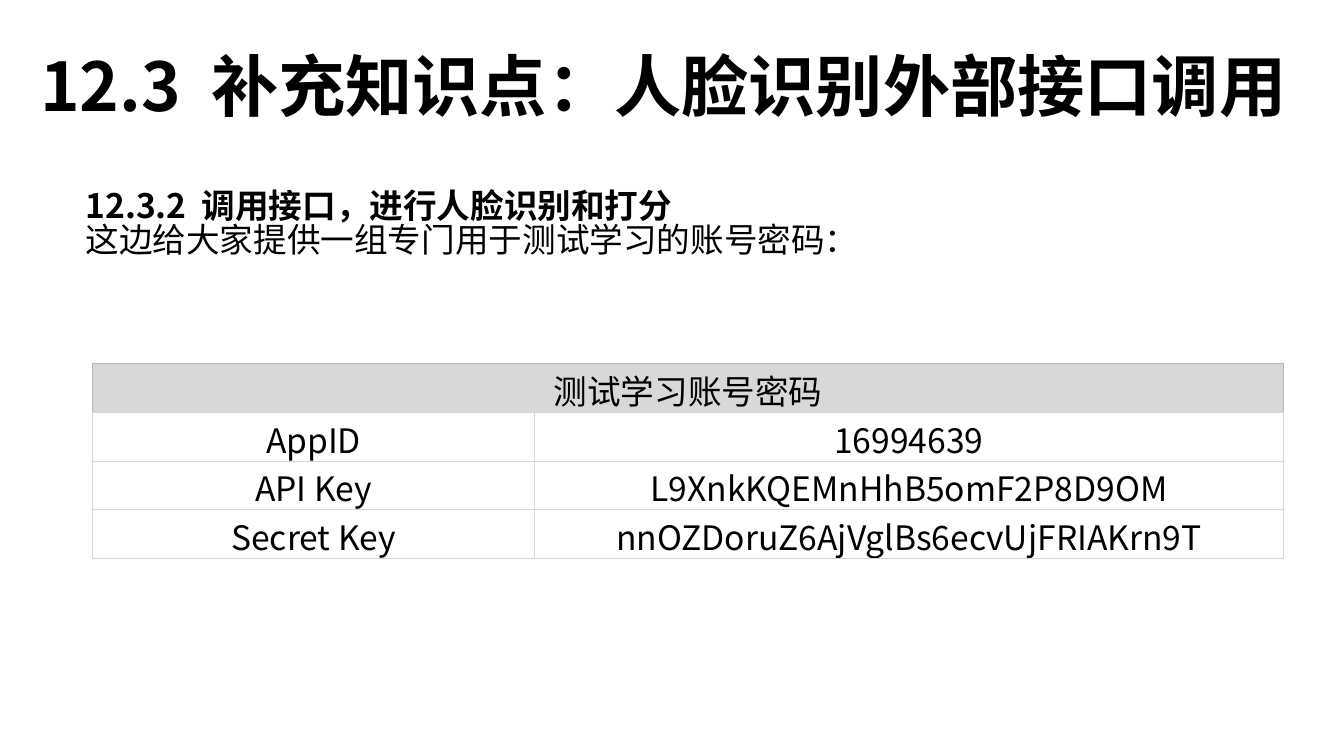
from dataclasses import dataclass

from lxml.etree import SubElement
from pptx import Presentation
from pptx.dml.color import RGBColor as Rgb
from pptx.enum.text import MSO_ANCHOR as Anchor, PP_ALIGN as Align
from pptx.oxml.ns import qn
from pptx.util import Inches, Pt

TITLE = ("12.3", "补充知识点：人脸识别外部接口调用")
HEAD = ("12.3.2", "调用接口，进行人脸识别和打分")
INTRO = "这边给大家提供一组专门用于测试学习的账号密码："
CAPTION = "测试学习账号密码"
KEYS = [
    ("AppID", "16994639"),
    ("API Key", "L9XnkKQEMnHhB5omF2P8D9OM"),
    ("Secret Key", "nnOZDoruZ6AjVglBs6ecvUjFRIAKrn9T"),
]
COLS = (4.38, 7.43)
ROW = 0.483


@dataclass(frozen=True)
class Theme:
    font: str = "Noto Sans CJK SC"
    ink: str = "000000"
    paper: str = "FFFFFF"
    band: str = "D7D8D9"
    edge: str = "B7B8B8"
    grid: str = "D6D6D6"
    large: int = 48
    body: int = 24
    rule: float = 0.75
    lead: float = 0.84


LOOK = Theme()


def add_run(para, text, size, bold=False, gap=0):
    """Add one styled run; gap is extra letter spacing in points."""
    run = para.add_run()
    run.text = text
    font = run.font
    font.name, font.size, font.bold = LOOK.font, Pt(size), bold
    font.color.rgb = Rgb.from_string(LOOK.ink)
    props = run._r.get_or_add_rPr()
    SubElement(props, qn("a:ea")).set("typeface", LOOK.font)
    if gap:
        props.set("spc", str(round(gap * 100)))


def add_head(para, parts, size):
    """Set a bold number and heading, parted by a widened space."""
    para.line_spacing = LOOK.lead
    number, words = parts
    add_run(para, number, size, True)
    add_run(para, " ", size, True, gap=0.22 * size)
    add_run(para, words, size, True)


def add_box(slide, place, top, wrap):
    frame = slide.shapes.add_textbox(*map(Inches, place)).text_frame
    frame.word_wrap = wrap
    frame.margin_top = Inches(top)
    return frame


def set_edges(cell, colors):
    """Draw the left, right, top and bottom borders, in that order."""
    props = cell._tc.get_or_add_tcPr()
    for side, color in zip("LRTB", colors):
        line = SubElement(props, qn(f"a:ln{side}"), w=str(Pt(LOOK.rule)))
        fill = SubElement(line, qn("a:solidFill"))
        SubElement(fill, qn("a:srgbClr"), val=color)


def fill_cell(cell, text, back, colors):
    set_edges(cell, colors)
    cell.fill.solid()
    cell.fill.fore_color.rgb = Rgb.from_string(back)
    cell.margin_left = cell.margin_right = cell.margin_bottom = 0
    cell.margin_top = Inches(0.08)
    cell.vertical_anchor = Anchor.TOP
    para = cell.text_frame.paragraphs[0]
    para.alignment = Align.CENTER
    para.line_spacing = LOOK.lead
    if text:
        add_run(para, text, LOOK.body)


def add_keys(slide):
    count = len(KEYS) + 1
    place = (0.92, 3.61, sum(COLS), ROW * count)
    table = slide.shapes.add_table(count, len(COLS), *map(Inches, place)).table
    table.first_row = table.horz_banding = False
    for col, width in zip(table.columns, COLS):
        col.width = Inches(width)
    for row in table.rows:
        row.height = Inches(ROW)

    table.cell(0, 0).merge(table.cell(0, 1))
    edges = (LOOK.edge,) * 3 + (LOOK.grid,)
    for col, text in enumerate((CAPTION, "")):
        fill_cell(table.cell(0, col), text, LOOK.band, edges)
    for row, pair in enumerate(KEYS, 1):
        top = LOOK.grid
        for col, text in enumerate(pair):
            fill_cell(table.cell(row, col), text, LOOK.paper, (top,) * 4)


def main():
    deck = Presentation()
    deck.slide_width, deck.slide_height = Inches(13.33), Inches(7.5)
    slide = deck.slides.add_slide(deck.slide_layouts[6])

    title = add_box(slide, (0.3, 0.48, 12.73, 0.91), 0.09, False)
    add_head(title.paragraphs[0], TITLE, LOOK.large)

    intro = add_box(slide, (0.75, 1.83, 11.86, 0.91), 0.07, True)
    add_head(intro.paragraphs[0], HEAD, LOOK.body)
    para = intro.add_paragraph()
    para.line_spacing = LOOK.lead
    add_run(para, INTRO, LOOK.body)

    add_keys(slide)
    deck.save("out.pptx")


if __name__ == "__main__":
    main()
